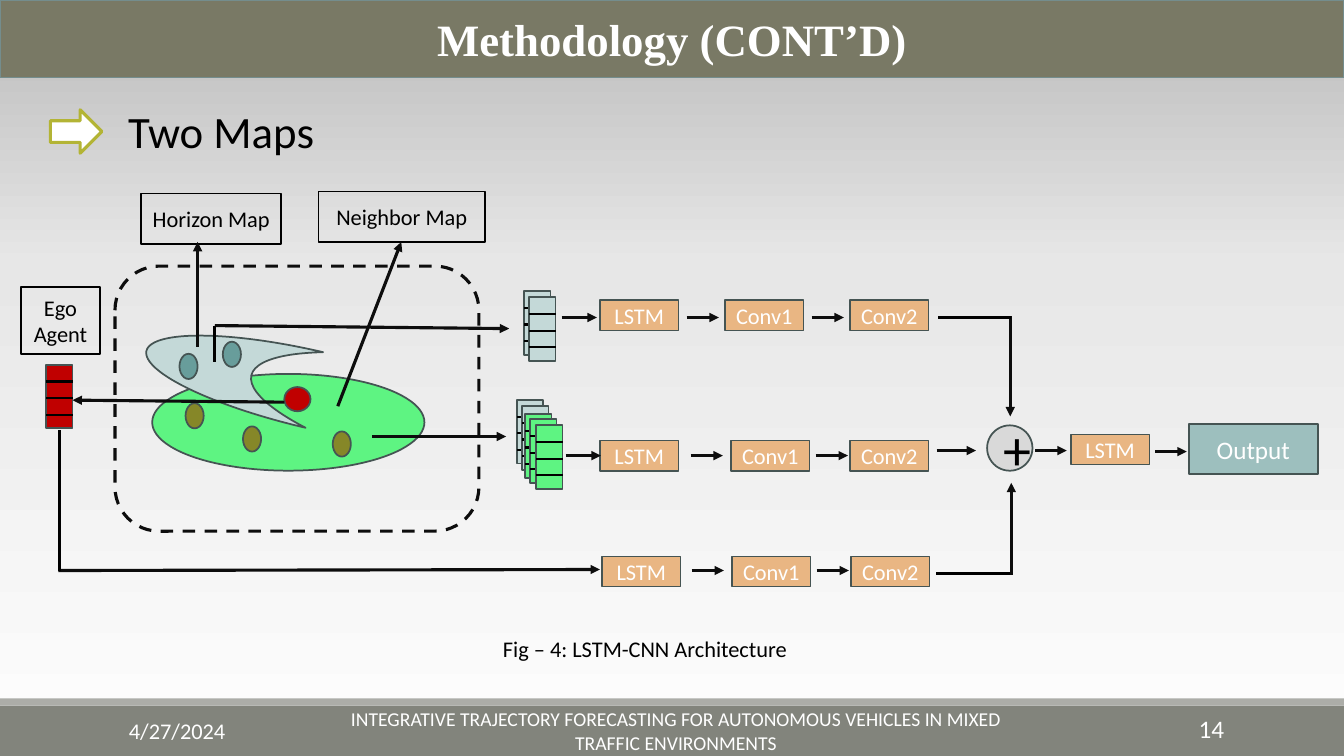
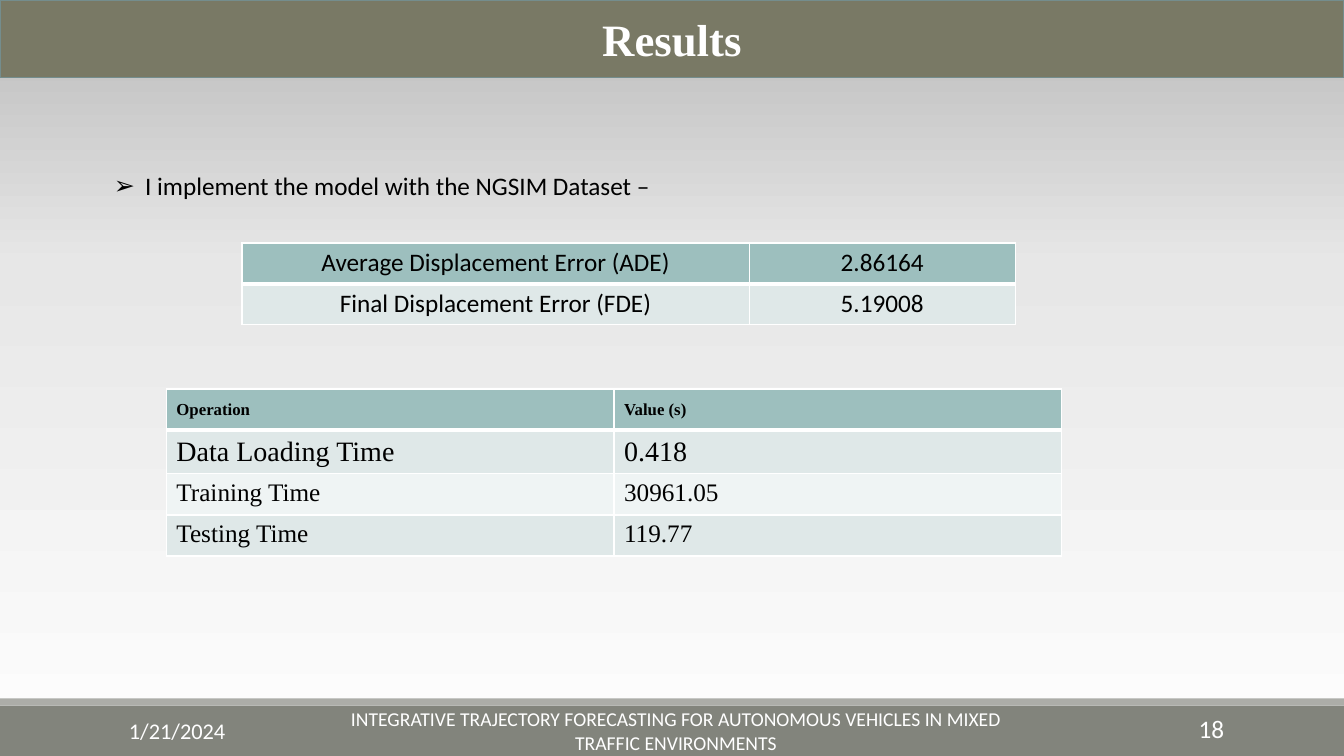
import copy
from dataclasses import dataclass, field, replace
from typing import Any, NamedTuple, Optional

import lxml.etree
import pptx
import pptx.dml.color
import pptx.enum.dml
import pptx.enum.shapes
import pptx.enum.text
import pptx.oxml.ns
import pptx.util

Inches = pptx.util.Inches
Pt = pptx.util.Pt
qn = pptx.oxml.ns.qn
MSO = pptx.enum.shapes.MSO_SHAPE
ALIGN = pptx.enum.text.PP_ALIGN
ANCHOR = pptx.enum.text.MSO_ANCHOR
Box = tuple[float, float, float, float]


@dataclass(frozen=True)
class Style:
    size: float
    color: str
    name: str = "Calibri"
    bold: bool = False
    align: Any = ALIGN.LEFT
    anchor: Any = ANCHOR.TOP


@dataclass(frozen=True)
class Theme:
    white: str = "FFFFFF"
    black: str = "000000"
    ink: str = "0D0D0D"
    edge: str = "455453"
    band: str = "797965"
    band_edge: str = "748D8D"
    footer: str = "82847C"
    footer_rule: str = "ACADA8"
    arrow_edge: str = "B3B435"
    green: str = "5EF482"
    pale: str = "C4D9D8"
    teal: str = "9DBFBE"
    deep_teal: str = "689D9B"
    olive: str = "868728"
    red: str = "C00000"
    orange: str = "E9B683"
    gray: str = "D9D9D9"
    row_dark: str = "DFE8E8"
    row_light: str = "EFF4F4"
    backdrop: tuple = ((0, "FEFEFE"), (0.65, "E7E7E7"), (1, "B9B9B9"))
    title: Style = Style(32, "FFFFFF", "Times New Roman", True, ALIGN.CENTER, ANCHOR.MIDDLE)
    heading: Style = Style(32, "000000")
    body: Style = Style(18, "000000")
    caption: Style = Style(16, "000000")
    label: Style = Style(16, "000000", align=ALIGN.CENTER, anchor=ANCHOR.MIDDLE)
    block: Style = Style(16, "FFFFFF", align=ALIGN.CENTER, anchor=ANCHOR.MIDDLE)
    output: Style = Style(18, "FFFFFF", align=ALIGN.CENTER, anchor=ANCHOR.MIDDLE)
    plus: Style = Style(40, "000000", align=ALIGN.CENTER, anchor=ANCHOR.MIDDLE)
    date: Style = Style(16, "FFFFFF", anchor=ANCHOR.MIDDLE)
    running: Style = Style(14, "FFFFFF", align=ALIGN.CENTER, anchor=ANCHOR.MIDDLE)
    number: Style = Style(18, "FFFFFF", align=ALIGN.RIGHT, anchor=ANCHOR.MIDDLE)
    cell: Style = Style(18, "000000", align=ALIGN.CENTER)
    timing_head: Style = Style(12, "000000", "Times New Roman", True, anchor=ANCHOR.MIDDLE)
    timing: Style = Style(18, "000000", "Times New Roman")


T = Theme()
FOOTER = "INTEGRATIVE TRAJECTORY FORECASTING FOR AUTONOMOUS VEHICLES IN MIXED TRAFFIC ENVIRONMENTS"


@dataclass(frozen=True)
class Item:
    kind: Any
    box: Box
    fill: Optional[str] = None
    line: Optional[str] = T.edge
    width: float = 1.25
    text: str = ""
    style: Style = T.block
    extra: dict = field(default_factory=dict)


class Link(NamedTuple):
    x1: float
    y1: float
    x2: float
    y2: float
    arrow: bool = True
    color: str = T.ink
    width: float = 2.25


class Branch(NamedTuple):
    y: float
    xs: tuple[float, float, float]
    arrow_x: float
    arrow_y: float
    first_arrow: int = 0


class Row(NamedTuple):
    texts: tuple[str, str]
    fill: str
    style: Style


def rgb(color: str) -> Any:
    return pptx.dml.color.RGBColor.from_string(color)


def apply(obj: Any, values: dict) -> None:
    for name, value in values.items():
        setattr(obj, name, value)


def emu(box: Box) -> list:
    return [Inches(v) for v in box]


def place(sp: Any, box: Box) -> None:
    apply(sp, dict(zip(("left", "top", "width", "height"), emu(box))))


def write(tf: Any, text: str, st: Style) -> None:
    apply(tf, {"word_wrap": True, "vertical_anchor": st.anchor})
    p = tf.paragraphs[0]
    p.text = text
    apply(p, {"alignment": st.align, "space_before": Pt(0)})
    r = p.runs[0]
    apply(r.font, {"size": Pt(st.size), "name": st.name, "bold": st.bold})
    r.font.color.rgb = rgb(st.color)


def paint(sp: Any, fill: Optional[str], line: Optional[str], width: float) -> None:
    if fill:
        sp.fill.solid()
        sp.fill.fore_color.rgb = rgb(fill)
    else:
        sp.fill.background()
    if line:
        sp.line.color.rgb = rgb(line)
        sp.line.width = Pt(width)
    else:
        sp.line.fill.background()


def add_item(s: Any, item: Item) -> Any:
    sp = s.shapes.add_shape(item.kind, *emu(item.box))
    sp.shadow.inherit = False
    paint(sp, item.fill, item.line, item.width)
    apply(sp, item.extra)
    if item.text:
        write(sp.text_frame, item.text, item.style)
    return sp


def add_link(s: Any, link: Link) -> None:
    ends = emu((link.x1, link.y1, link.x2, link.y2))
    cn = s.shapes.add_connector(pptx.enum.shapes.MSO_CONNECTOR.STRAIGHT, *ends)
    cn.line.color.rgb = rgb(link.color)
    cn.line.width = Pt(link.width)
    sp_pr = cn._element.spPr
    if link.arrow:
        lxml.etree.SubElement(sp_pr.find(qn("a:ln")), qn("a:tailEnd"), type="triangle")
    lxml.etree.SubElement(sp_pr, qn("a:effectLst"))


def add_text(s: Any, box: Box, text: str, st: Style) -> None:
    write(s.shapes.add_textbox(*emu(box)).text_frame, text, st)


def set_bullet(p: Any, char: str = "", indent: float = 0) -> None:
    p_pr = p._p.get_or_add_pPr()
    p_pr.set("marL", str(Inches(indent)))
    p_pr.set("indent", str(-Inches(indent)))
    if char:
        lxml.etree.SubElement(p_pr, qn("a:buChar"), char=char)
    else:
        lxml.etree.SubElement(p_pr, qn("a:buNone"))


def add_body(s: Any, box: Box, text: str, st: Style, char: str = "", indent: float = 0) -> None:
    sp = s.placeholders[1]
    place(sp, box)
    tf = sp.text_frame
    tf.auto_size = pptx.enum.text.MSO_AUTO_SIZE.NONE
    set_bullet(tf.paragraphs[0], char, indent)
    write(tf, text, st)


def set_backdrop(s: Any) -> None:
    fill = s.background.fill
    fill.gradient()
    fill.gradient_angle = 90
    stops = s.element.find(".//" + qn("a:gsLst"))
    stops.append(copy.deepcopy(stops[0]))
    for stop, (position, color) in zip(fill.gradient_stops, T.backdrop):
        stop.color.rgb = rgb(color)
        stop.position = position


def new_slide(prs: Any, title: str, date: str, number: str) -> Any:
    s = prs.slides.add_slide(prs.slide_layouts[1])
    set_backdrop(s)
    sp = s.shapes.title
    place(sp, (0, 0, 13.33, 0.77))
    paint(sp, T.band, T.band_edge, 1.25)
    sp.text_frame.auto_size = pptx.enum.text.MSO_AUTO_SIZE.NONE
    write(sp.text_frame, title, T.title)
    add_item(s, Item(MSO.RECTANGLE, (0, 7, 13.33, 0.5), T.footer, None))
    add_item(s, Item(MSO.RECTANGLE, (0, 6.93, 13.33, 0.07), T.footer_rule, None))
    add_text(s, (1.18, 7.05, 2.7, 0.4), date, T.date)
    add_text(s, (3.36, 7.05, 6.69, 0.4), FOOTER, T.running)
    add_text(s, (10.81, 7.03, 1.43, 0.4), number, T.number)
    return s


def add_stack(s: Any, x: float, y: float, fill: str) -> None:
    add_item(s, Item(MSO.RECTANGLE, (x, y, 0.26, 0.63), fill))
    for i in range(1, 4):
        line_y = y + 0.165 * i
        add_link(s, Link(x, line_y, x + 0.26, line_y, False, T.black, 1.5))


def add_branch(s: Any, b: Branch) -> None:
    for x, name in zip(b.xs, ("LSTM", "Conv1", "Conv2")):
        add_item(s, Item(MSO.RECTANGLE, (x, b.y, 0.78, 0.3), T.orange, text=name))
    for i in range(b.first_arrow, 3):
        x = b.arrow_x + 1.24 * i
        add_link(s, Link(x, b.arrow_y, x + (0.32 if i else 0.35), b.arrow_y))


def set_borders(cell: Any, thick: str) -> None:
    tc_pr = cell._tc.get_or_add_tcPr()
    for side in "LRTB":
        width = Pt(3 if side == thick else 1)
        ln = lxml.etree.SubElement(tc_pr, qn(f"a:ln{side}"), w=str(width))
        fill = lxml.etree.SubElement(ln, qn("a:solidFill"))
        lxml.etree.SubElement(fill, qn("a:srgbClr"), val=T.white)


def add_grid(s: Any, box: Box, widths: tuple[float, ...], rows: list[Row]) -> None:
    table = s.shapes.add_table(len(rows), len(widths), *emu(box)).table
    for column, width in zip(table.columns, widths):
        column.width = Inches(width)
    for i, row in enumerate(rows):
        for j, text in enumerate(row.texts):
            cell = table.cell(i, j)
            set_borders(cell, {0: "B", 1: "T"}.get(i, ""))
            cell.fill.solid()
            cell.fill.fore_color.rgb = rgb(row.fill)
            write(cell.text_frame, text, row.style)
            cell.vertical_anchor = row.style.anchor


def build_methodology(prs: Any) -> None:
    s = new_slide(prs, "Methodology (CONT’D)", "4/27/2024", "14")
    add_body(s, (1.17, 0.98, 5.32, 0.64), "Two Maps", T.heading)
    add_item(s, Item(MSO.RIGHT_ARROW, (0.5, 1.09, 0.51, 0.43), T.white, T.arrow_edge, 2.25))
    frame = add_item(s, Item(MSO.ROUNDED_RECTANGLE, (1.14, 2.64, 3.61, 2.63), None, T.ink, 2.25))
    frame.line.dash_style = pptx.enum.dml.MSO_LINE.DASH
    add_item(s, Item(MSO.OVAL, (1.51, 3.71, 2.7, 0.96), T.green))
    moon = add_item(s, Item(MSO.MOON, (1.43, 3.29, 1.71, 0.77), T.pale, extra={"rotation": 13.1}))
    moon.adjustments[0] = 0.625
    add_item(s, Item(MSO.OVAL, (2.82, 3.84, 0.26, 0.24), T.red))
    for x, y, fill in ((2.21, 3.39, T.deep_teal), (1.78, 3.51, T.deep_teal),
                       (2.41, 4.23, T.olive), (1.84, 4, T.olive), (3.3, 4.28, T.olive)):
        add_item(s, Item(MSO.OVAL, (x, y, 0.18, 0.25), fill))
    for x, y, fill in ((5.2, 2.89, T.pale), (5.25, 2.95, T.pale), (5.13, 3.97, T.pale),
                       (5.18, 4.03, T.pale), (5.21, 4.11, T.green), (5.26, 4.16, T.green),
                       (5.32, 4.22, T.green), (0.46, 3.62, T.red)):
        add_stack(s, x, y, fill)
    for b in (Branch(2.98, (5.95, 7.19, 8.43), 5.57, 3.15),
              Branch(4.37, (5.95, 7.25, 8.43), 5.61, 4.52),
              Branch(5.52, (5.97, 7.26, 8.44), 5.62, 5.66, 1)):
        add_branch(s, b)
    for item in (
        Item(MSO.OVAL, (9.79, 4.22, 0.45, 0.45), T.gray, text="+", style=T.plus),
        Item(MSO.RECTANGLE, (10.62, 4.31, 0.78, 0.3), T.orange, text="LSTM"),
        Item(MSO.RECTANGLE, (11.79, 4.21, 1.28, 0.49), T.teal, text="Output", style=T.output),
    ):
        add_item(s, item)
    for box, text in (((0.21, 2.85, 0.78, 0.66), "Ego Agent"),
                      ((1.4, 1.92, 1.39, 0.5), "Horizon Map"),
                      ((3.16, 1.9, 1.65, 0.5), "Neighbor Map")):
        add_item(s, Item(MSO.RECTANGLE, box, None, T.black, text=text, style=T.label))
    for ends in ((2.13, 3.23, 5.05, 3.26), (3.69, 4.33, 5.02, 4.33), (0.58, 5.66, 5.95, 5.65),
                 (2.82, 3.99, 0.72, 3.97), (11.46, 4.48, 11.77, 4.48),
                 (10.27, 4.47, 10.58, 4.47), (9.29, 4.47, 9.68, 4.47),
                 (10.03, 5.7, 10.03, 4.79), (10.02, 3.14, 10.02, 4.13),
                 (3.35, 4.03, 3.98, 2.4), (1.96, 3.44, 1.96, 2.4)):
        add_link(s, Link(*ends))
    for ends in ((2.13, 3.23, 2.13, 3.59), (0.59, 4.27, 0.59, 5.66),
                 (10.02, 5.69, 9.28, 5.69), (10.03, 3.15, 9.3, 3.15)):
        add_link(s, Link(*ends, arrow=False, color=T.black))
    add_text(s, (4.89, 6.25, 4.58, 0.37), "Fig – 4: LSTM-CNN Architecture", T.caption)


def build_results(prs: Any) -> None:
    s = new_slide(prs, "Results", "1/21/2024", "18")
    add_body(s, (1.03, 1.64, 10.14, 0.71), "I implement the model with the NGSIM Dataset –",
             T.body, "➢", 0.31)
    add_grid(s, (2.4, 2.41, 7.67, 0.81), (5.03, 2.64), [
        Row(("Average Displacement Error (ADE)", "2.86164"), T.teal, T.cell),
        Row(("Final Displacement Error (FDE)", "5.19008"), T.row_dark, T.cell),
    ])
    loading = replace(T.timing, size=20, anchor=ANCHOR.MIDDLE)
    add_grid(s, (1.65, 3.86, 8.89, 1.63), (4.44, 4.44), [
        Row(("Operation", "Value (s)"), T.teal, T.timing_head),
        Row(("Data Loading Time", "0.418"), T.row_dark, loading),
        Row(("Training Time", "30961.05"), T.row_light, T.timing),
        Row(("Testing Time", "119.77"), T.row_dark, T.timing),
    ])


def main() -> None:
    prs = pptx.Presentation()
    apply(prs, {"slide_width": Inches(13.33), "slide_height": Inches(7.5)})
    build_methodology(prs)
    build_results(prs)
    prs.save("out.pptx")


if __name__ == "__main__":
    main()
